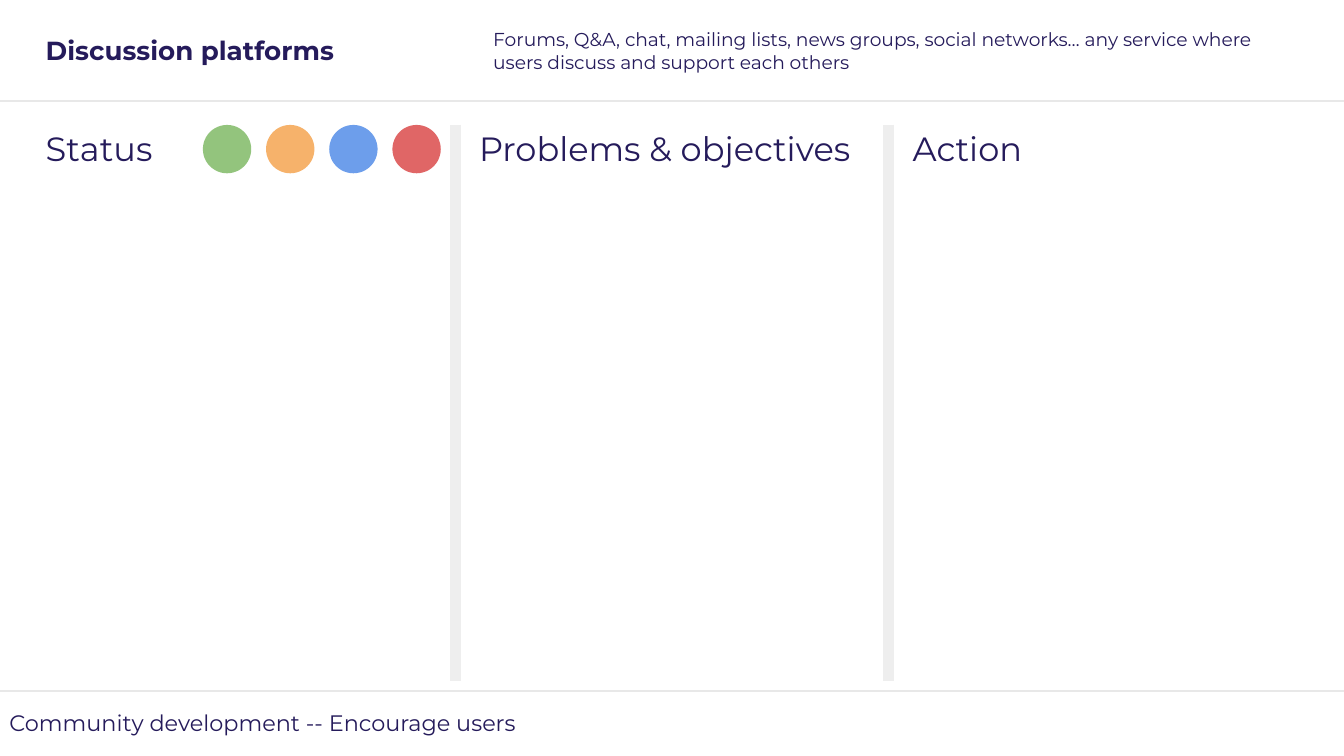
from dataclasses import dataclass

from lxml.etree import SubElement
from pptx import Presentation
from pptx.dml.color import RGBColor
from pptx.enum.shapes import MSO_CONNECTOR as Connector, MSO_SHAPE as Shape
from pptx.enum.text import MSO_ANCHOR as Anchor
from pptx.oxml.ns import qn
from pptx.util import Inches, Pt

# Widescreen page, 16:9
WIDTH = 10
HEIGHT = WIDTH * 9 / 16
FONT, INK, RULE, DIVIDER = "Montserrat", "251B5B", "E8E8E8", "EEEEEE"
INSET = 0.07

# Column grid, in inches
MARGIN, LAST_COLUMN, COLUMN_WIDTH = 0.27, 6.72, 3.02
COLUMN_STEP = (LAST_COLUMN - MARGIN) / 2
COLUMN_TOP = 0.88
COLUMNS = (("Status", 4.42), ("Problems & objectives", 4.42), ("Action", 4.25))
DIVIDERS, DIVIDER_TOP, DIVIDER_BOTTOM = (3.39, 6.61), 0.93, 5.07
HEADER_TOP, HEADER_HEIGHT = 0.1, 0.55
HEADER_RULE, FOOTER_RULE = 0.75, 5.14

# Status dots
DOT_LEFT, DOT_SIZE, DOT_STEP = 1.51, 0.36, 0.47
DOT_COLOURS = ("93C47D", "F6B26B", "6D9EEB", "E06666")


@dataclass
class Area:
    left: float
    top: float
    width: float
    height: float

    def inches(self) -> tuple:
        return tuple(map(Inches, (self.left, self.top, self.width, self.height)))


def colour(value: str) -> RGBColor:
    return RGBColor.from_string(value)


def add_text(page, text: str, area: Area, *, size: float,
             bold: bool = False, anchor=Anchor.MIDDLE) -> None:
    frame = page.shapes.add_textbox(*area.inches()).text_frame
    frame.word_wrap = True
    frame.vertical_anchor = anchor
    frame.margin_left = frame.margin_right = Inches(INSET)
    frame.margin_top = frame.margin_bottom = Inches(INSET)
    span = frame.paragraphs[0].add_run()
    span.text = text
    span.font.name, span.font.size, span.font.bold = FONT, Pt(size), bold
    span.font.color.rgb = colour(INK)


def add_line(page, start: tuple, end: tuple, *, tint: str, weight: float) -> None:
    line = page.shapes.add_connector(
        Connector.STRAIGHT, *map(Inches, (*start, *end)))
    line.line.color.rgb = colour(tint)
    line.line.width = Pt(weight)
    SubElement(line._element.spPr, qn("a:effectLst"))


def add_dot(page, area: Area, fill: str) -> None:
    dot = page.shapes.add_shape(Shape.OVAL, *area.inches())
    dot.shadow.inherit = False
    dot.fill.solid()
    dot.fill.fore_color.rgb = colour(fill)
    dot.line.fill.background()


def main() -> None:
    deck = Presentation()
    deck.slide_width, deck.slide_height = Inches(WIDTH), Inches(HEIGHT)
    page = deck.slides.add_slide(deck.slide_layouts[6])

    # Header and footer rules
    for y in (HEADER_RULE, FOOTER_RULE):
        add_line(page, (0, y), (WIDTH, y), tint=RULE, weight=1)

    # Column headings
    for index, (heading, height) in enumerate(COLUMNS):
        left = MARGIN + index * COLUMN_STEP
        add_text(page, heading, Area(left, COLUMN_TOP, COLUMN_WIDTH, height),
                 size=18, anchor=Anchor.TOP)

    # Header and footer text
    add_text(page, "Forums, Q&A, chat, mailing lists, news groups, social networks… "
             "any service where users discuss and support each others",
             Area(3.6, HEADER_TOP, 6.14, HEADER_HEIGHT), size=10)
    add_text(page, "Community development -- Encourage users",
             Area(0, 5.13, 9.53, 0.5), size=12)
    add_text(page, "Discussion platforms",
             Area(MARGIN, HEADER_TOP, 3.23, HEADER_HEIGHT), size=14, bold=True)

    # Dividers between columns
    for x in DIVIDERS:
        add_line(page, (x, DIVIDER_TOP), (x, DIVIDER_BOTTOM), tint=DIVIDER, weight=6)

    # Status dots
    for index, fill in enumerate(DOT_COLOURS):
        left = DOT_LEFT + index * DOT_STEP
        add_dot(page, Area(left, DIVIDER_TOP, DOT_SIZE, DOT_SIZE), fill)

    deck.save("out.pptx")


if __name__ == "__main__":
    main()
